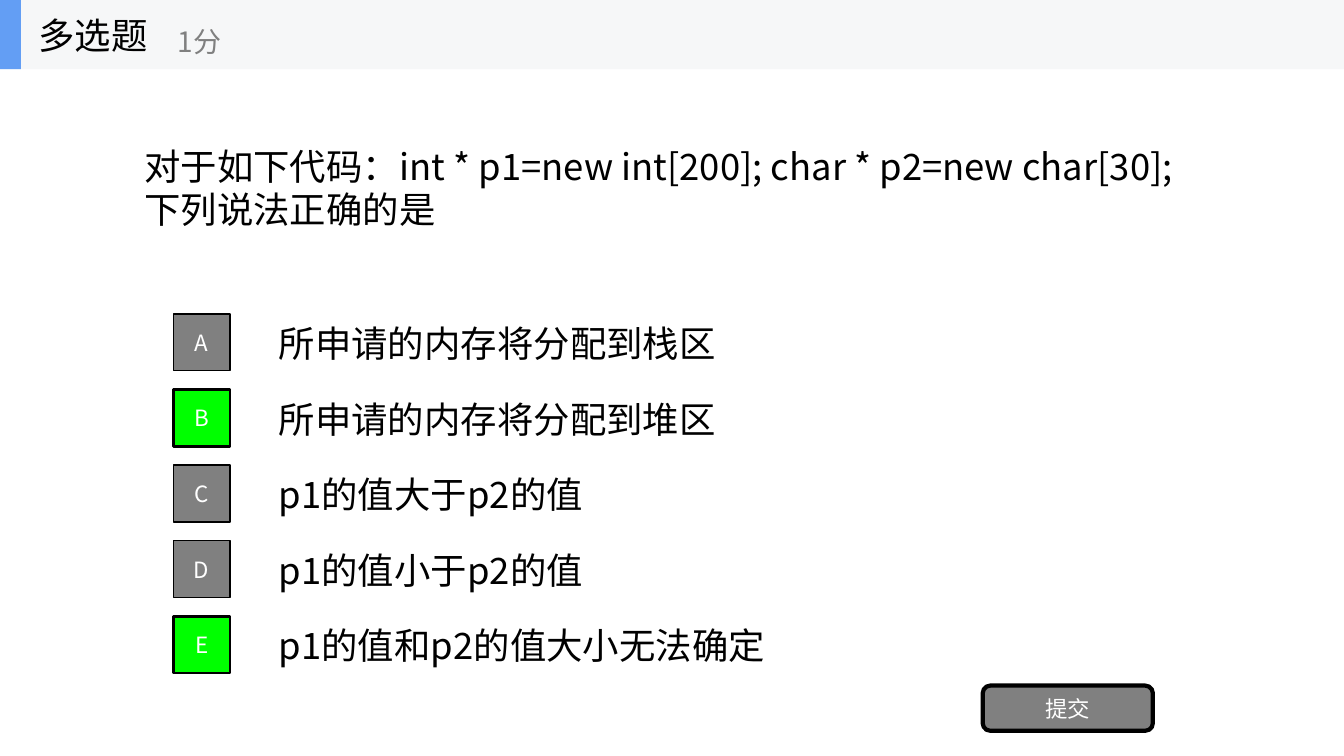
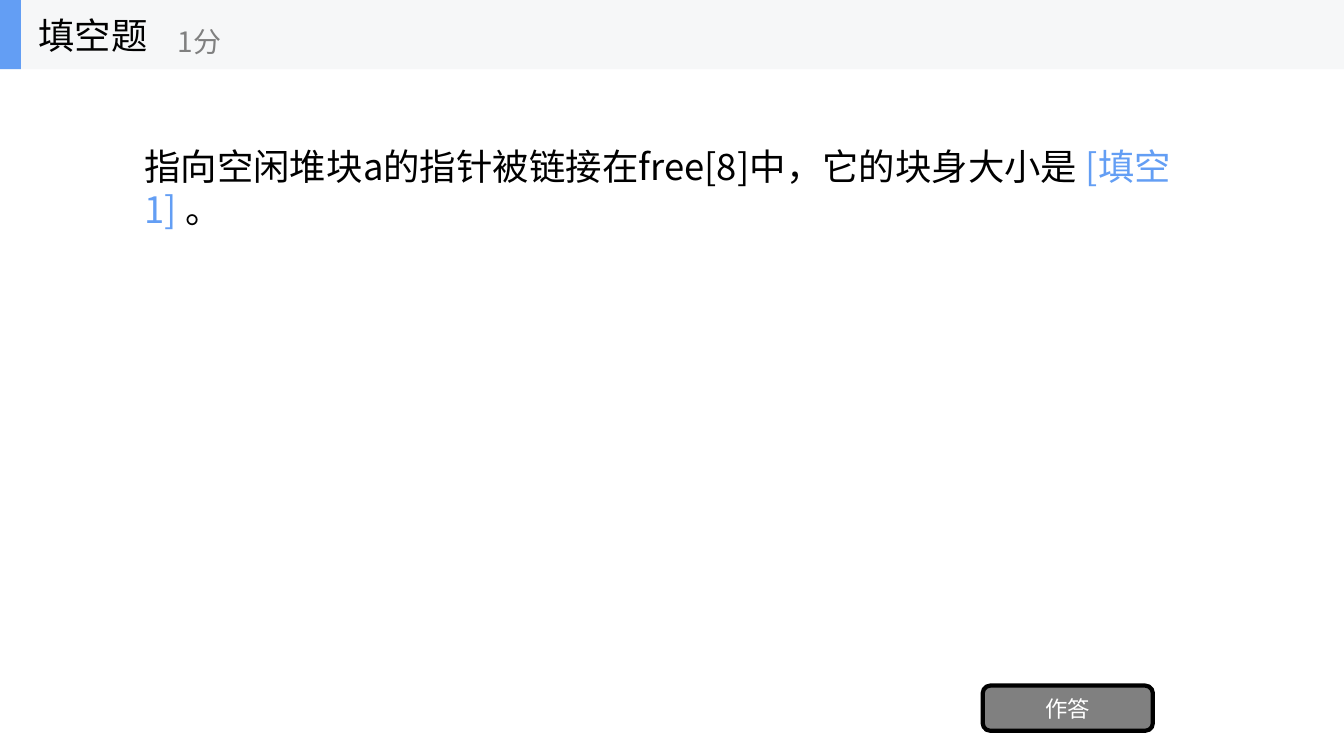
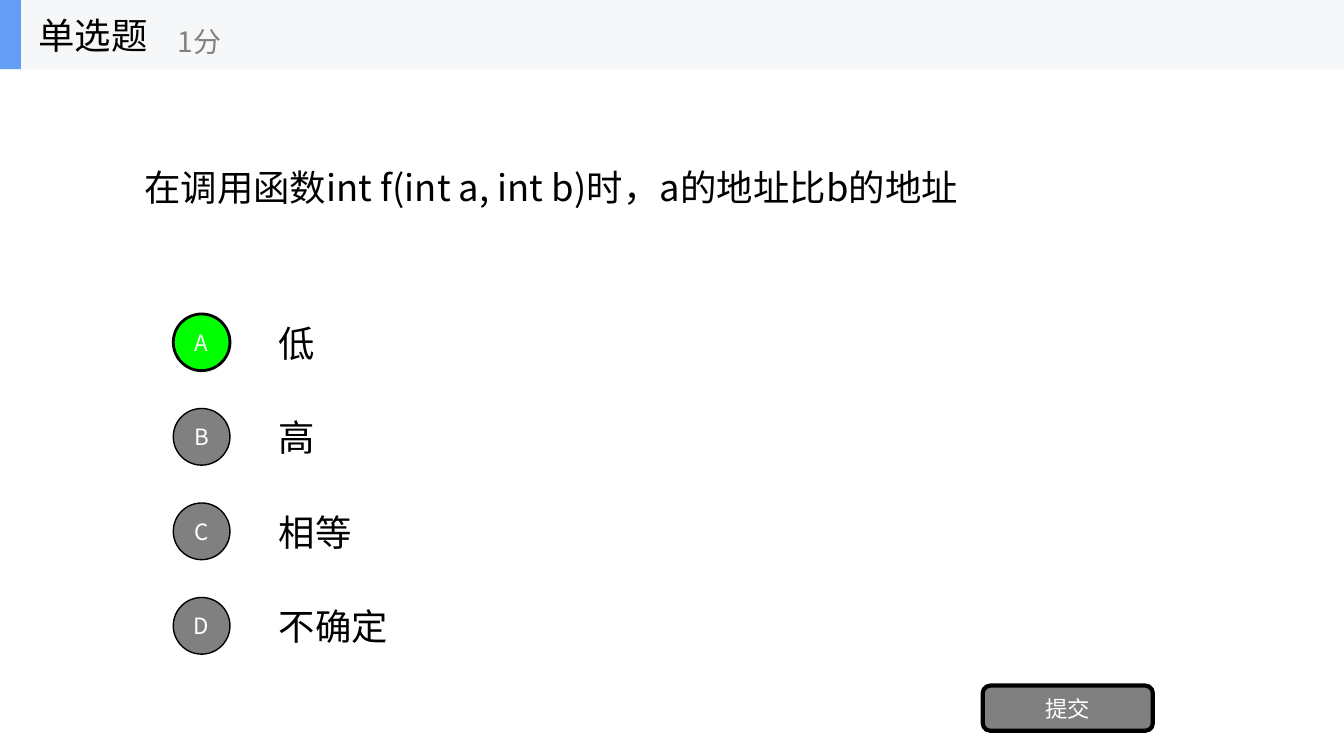
from pptx import Presentation
from pptx.dml.color import RGBColor
from pptx.enum.shapes import MSO_SHAPE
from pptx.enum.text import MSO_ANCHOR, MSO_AUTO_SIZE, PP_ALIGN
from pptx.oxml.ns import qn
from pptx.util import Emu, Pt

PX = 9525
FONT = "Noto Sans CJK SC"
BLACK = RGBColor(0x00, 0x00, 0x00)
WHITE = RGBColor(0xFF, 0xFF, 0xFF)
GRAY = RGBColor(0x80, 0x80, 0x80)
GREEN = RGBColor(0x00, 0xFF, 0x00)
BLUE = RGBColor(0x63, 0x9E, 0xF4)
PALE = RGBColor(0xF6, 0xF7, 0xF8)

HEADER_HEIGHT = 66
OPTION_TOP, OPTION_HEIGHT, MARK_SIZE = 293, 67, 54

QUESTIONS = [
    {
        "title": "多选题",
        "stem": "对于如下代码：int * p1=new int[200]; char * p2=new char[30];\n下列说法正确的是",
        "options": [
            "所申请的内存将分配到栈区",
            "所申请的内存将分配到堆区",
            "p1的值大于p2的值",
            "p1的值小于p2的值",
            "p1的值和p2的值大小无法确定",
        ],
        "correct": "BE",
        "mark": MSO_SHAPE.RECTANGLE,
        "pitch": 72,
        "button": "提交",
    },
    {
        "title": "填空题",
        "stem": "指向空闲堆块a的指针被链接在free[8]中，它的块身大小是 [填空1] 。",
        "blank": "[填空1] ",
        "options": [],
        "button": "作答",
    },
    {
        "title": "单选题",
        "stem": "在调用函数int f(int a, int b)时，a的地址比b的地址",
        "options": ["低", "高", "相等", "不确定"],
        "correct": "A",
        "mark": MSO_SHAPE.OVAL,
        "pitch": 90,
        "button": "提交",
    },
]


def write(shape, text, size=26, color=BLACK, align=PP_ALIGN.LEFT, wrap=True, accent=""):
    """Fill a shape with one paragraph per line, colouring the accent words blue."""
    frame = shape.text_frame
    frame.word_wrap = wrap
    frame.auto_size = MSO_AUTO_SIZE.NONE
    frame.vertical_anchor = MSO_ANCHOR.MIDDLE
    for number, line in enumerate(text.split("\n")):
        paragraph = frame.add_paragraph() if number else frame.paragraphs[0]
        paragraph.alignment = align
        for part in line.partition(accent) if accent else [line]:
            run = paragraph.add_run()
            run.text = part
            run.font.size = Pt(size)
            run.font.name = FONT
            run.font.color.rgb = BLUE if accent and part == accent else color
            east_asian = run.font._element.makeelement(qn("a:ea"), {"typeface": FONT})
            run.font._element.find(qn("a:latin")).addnext(east_asian)


def add_block(slide, kind, box, fill, line_width=0):
    block = slide.shapes.add_shape(kind, *[Emu(n * PX) for n in box])
    block.shadow.inherit = False
    block.fill.solid()
    block.fill.fore_color.rgb = fill
    if line_width:
        block.line.color.rgb = BLACK
        block.line.width = Pt(line_width)
    else:
        block.line.fill.background()
    return block


prs = Presentation()
prs.slide_width, prs.slide_height = Emu(1280 * PX), Emu(720 * PX)
layout = prs.slide_layouts.get_by_name("Title Only")
slides = [prs.slides.add_slide(layout) for _ in QUESTIONS]

# The header bands live on the layout, behind every title.
for order, (width, fill) in enumerate([(1280, PALE), (20, BLUE)]):
    band = add_block(slides[0], MSO_SHAPE.RECTANGLE, (0, 0, width, HEADER_HEIGHT), fill)
    band.element.nvSpPr.cNvPr.id = 100 + order
    layout.shapes.element.insert(2 + order, band.element)

for slide, question in zip(slides, QUESTIONS):
    title = slide.shapes.title
    title.left, title.top = Emu(27 * PX), Emu(0)
    title.width, title.height = Emu(200 * PX), Emu(HEADER_HEIGHT * PX)
    write(title, question["title"], wrap=False)

    score = slide.shapes.add_textbox(*[Emu(n * PX) for n in (160, 12, 240, 54)])
    write(score, "1分", size=20, color=GRAY, wrap=False)

    stem = slide.shapes.add_textbox(*[Emu(n * PX) for n in (128, HEADER_HEIGHT, 1024, 225)])
    write(stem, question["stem"], accent=question.get("blank", ""))

    for row, (letter, answer) in enumerate(zip("ABCDE", question["options"])):
        top = OPTION_TOP + row * question["pitch"]
        option = slide.shapes.add_textbox(*[Emu(n * PX) for n in (256, top, 896, OPTION_HEIGHT)])
        write(option, answer)

        correct = letter in question["correct"]
        mark_box = (165, top + (OPTION_HEIGHT - MARK_SIZE) // 2, MARK_SIZE, MARK_SIZE)
        mark = add_block(slide, question["mark"], mark_box,
                         GREEN if correct else GRAY, 2 if correct else 1)
        write(mark, letter, size=16, color=WHITE, align=PP_ALIGN.CENTER)

    button = add_block(slide, MSO_SHAPE.ROUNDED_RECTANGLE, (936, 653, 162, 43), GRAY, 3)
    write(button, question["button"], size=16, color=WHITE, align=PP_ALIGN.CENTER)

prs.save("out.pptx")
